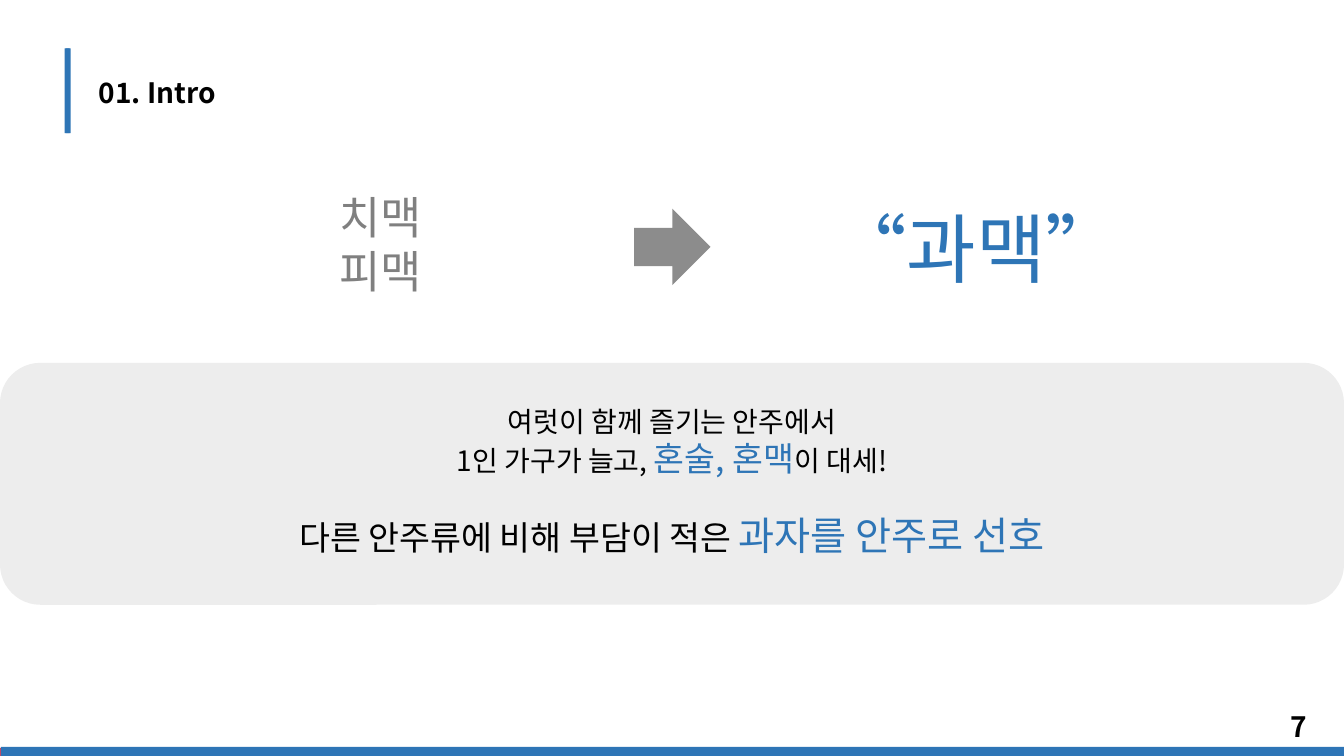
from lxml.etree import SubElement
from pptx import Presentation
from pptx.dml.color import RGBColor
from pptx.enum.shapes import MSO_SHAPE as SHAPE
from pptx.enum.text import MSO_ANCHOR as ANCHOR, MSO_AUTO_SIZE as AUTO, PP_ALIGN as ALIGN
from pptx.oxml.ns import qn
from pptx.util import Pt

FONT = "Noto Sans CJK KR"
BLACK = RGBColor(0x00, 0x00, 0x00)
BLUE = RGBColor(0x2E, 0x75, 0xB6)
RED = RGBColor(0xD3, 0x44, 0x5F)
GRAY = RGBColor(0x80, 0x80, 0x80)
DARK = RGBColor(0x40, 0x40, 0x40)
LIGHT = RGBColor(0xD9, 0xD9, 0xD9)

WIDTH, HEIGHT = 960, 540


def add_block(s, kind, x, y, w, h, color, opacity=100):
    sp = s.shapes.add_shape(kind, Pt(x), Pt(y), Pt(w), Pt(h))
    sp.shadow.inherit = False
    sp.fill.solid()
    sp.fill.fore_color.rgb = color
    sp.line.fill.background()
    if opacity < 100:
        clr = sp.fill._xPr.find(qn("a:solidFill"))[0]
        SubElement(clr, qn("a:alpha")).set("val", str(opacity * 1000))
    return sp


def add_text(s, x, y, w, h, lines, align=ALIGN.CENTER, bold=None):
    sp = s.shapes.add_textbox(Pt(x), Pt(y), Pt(w), Pt(h))
    tf = sp.text_frame
    tf.word_wrap = True
    tf.auto_size = AUTO.SHAPE_TO_FIT_TEXT
    for i, line in enumerate(lines):
        p = tf.add_paragraph() if i else tf.paragraphs[0]
        p.alignment = align
        for text, size, color in line:
            r = p.add_run()
            r.text = text
            r.font.size = Pt(size)
            r.font.name = FONT
            r.font.bold = bold
            r.font.color.rgb = color
            SubElement(r.font._element, qn("a:ea")).set("typeface", FONT)
    return tf


def add_header(s, x, y, h, title):
    for dx in (0, 0.7):
        add_block(s, SHAPE.RECTANGLE, x + dx, y, 3.6, h, BLUE)
    add_text(s, x + 17.3, y + 15.8, 146, 31.7, [[(title, 20, BLACK)]],
             ALIGN.LEFT, bold=True)


def add_comparison(s, x, y, w, h, before, after):
    side = 396.7
    add_text(s, x, y, side, h, [[(name, 32, GRAY)] for name in before])
    add_text(s, x + w - side, y + 8.6, side, 72.7, [[(after, 54, BLUE)]])
    arrow = 54.7
    sp = add_block(s, SHAPE.DOWN_ARROW, x + 379.5, y + 17.2, arrow, arrow, DARK, 60)
    sp.rotation = 270


def add_panel(s, x, y, w, h, lines):
    add_block(s, SHAPE.ROUNDED_RECTANGLE, x, y, w, h, LIGHT, 47)
    margin = 129.6
    tf = add_text(s, x + margin, y + 25.9, w - 2 * margin, 118.8, lines)
    tf.paragraphs[-1].space_before = Pt(24)


def add_footer(s, x, y, w, h, number):
    add_block(s, SHAPE.RECTANGLE, x, y + 0.7, w, h - 0.7, RED)
    add_block(s, SHAPE.RECTANGLE, x + 0.7, y, w - 0.7, h, BLUE)
    tf = add_text(s, x + w - 235, y - 28.8, 216, 28.8, [[(number, 20, BLACK)]],
                  ALIGN.RIGHT, bold=True)
    tf.auto_size = AUTO.NONE
    tf.vertical_anchor = ANCHOR.MIDDLE


def main():
    prs = Presentation()
    prs.slide_width, prs.slide_height = Pt(WIDTH), Pt(HEIGHT)
    s = prs.slides.add_slide(prs.slide_layouts[6])
    add_header(s, 46.1, 34.6, 60.5, "01. Intro")
    add_comparison(s, 73.4, 131.8, 822.3, 85, ["치맥", "피맥"], "“과맥”")
    add_panel(s, 0, 259.2, WIDTH, 172.8, [
        [("여럿이 함께 즐기는 안주에서", 20, BLACK)],
        [("1인 가구가 늘고, ", 20, BLACK), ("혼술, 혼맥", 24, BLUE), ("이 대세!", 20, BLACK)],
        [("다른 안주류에 비해 부담이 적은 ", 24, BLACK), ("과자를 안주로 선호", 28, BLUE)],
    ])
    add_footer(s, 0, 533.5, WIDTH, 6.5, "7")
    prs.save("out.pptx")


if __name__ == "__main__":
    main()
